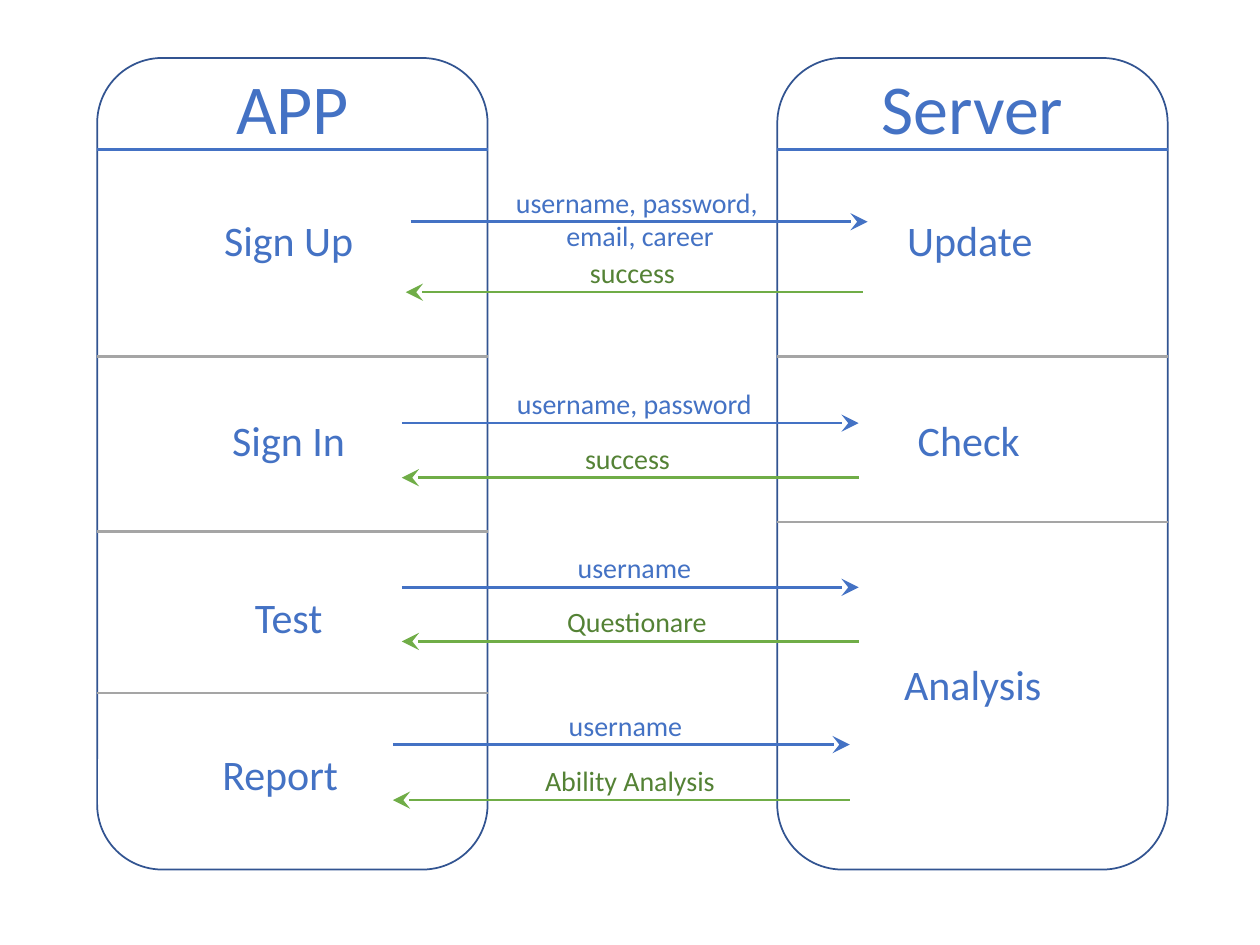
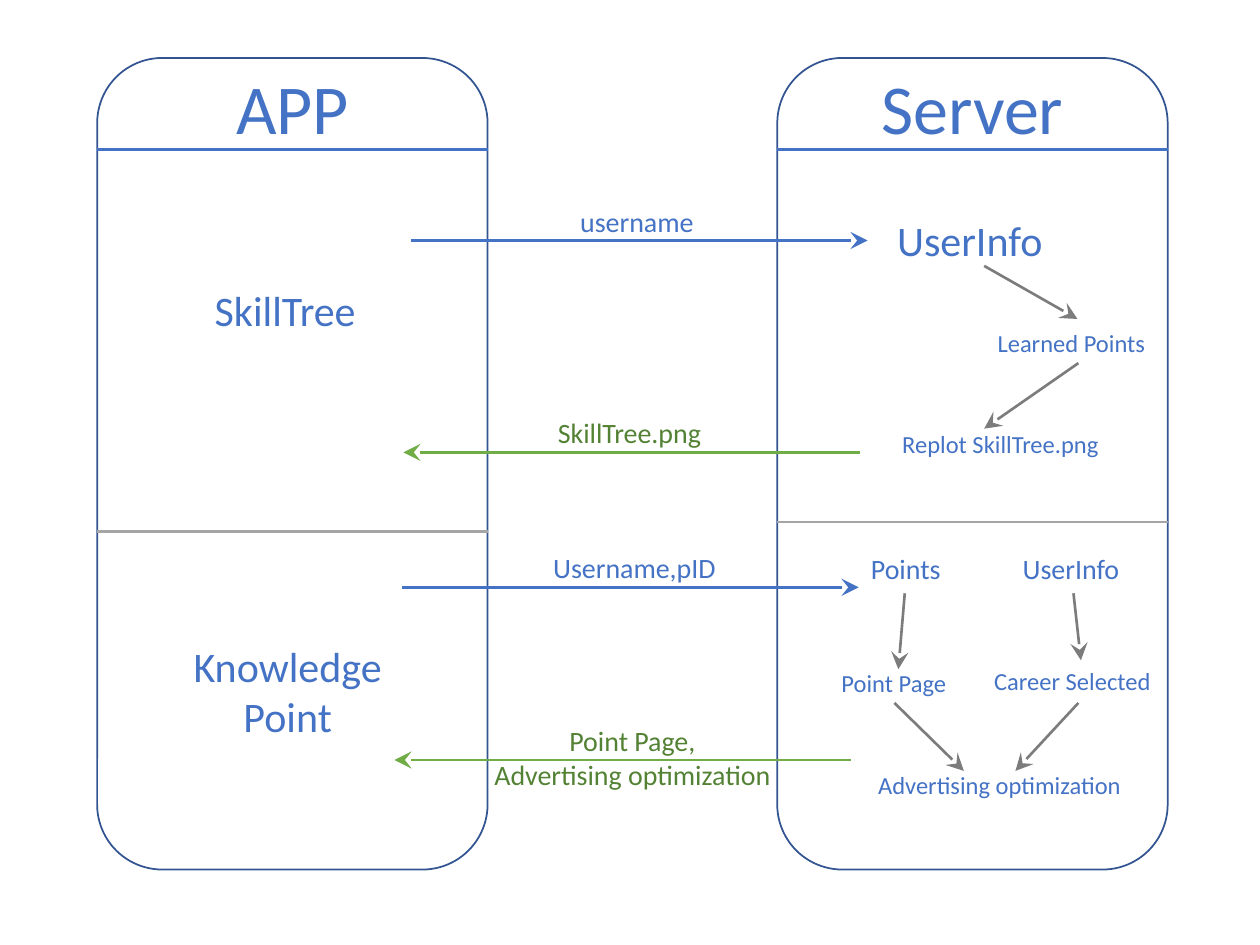
from pptx import Presentation
from pptx.dml.color import RGBColor
from pptx.enum.shapes import MSO_CONNECTOR, MSO_SHAPE
from pptx.enum.text import MSO_AUTO_SIZE, PP_ALIGN
from pptx.oxml.ns import qn
from pptx.util import Cm, Pt
from lxml.etree import SubElement

# Shared style; all lengths are in centimetres
FONT = "Calibri"
BLUE, OUTLINE = "4472C4", "325491"
GREEN, DARK_GREEN = "70AD47", "548235"
GREY, DARK_GREY = "A5A5A5", "7C7C7C"
APP_LEFT, SERVER_LEFT = 1.96, 15.67
PANEL_TOP, PANEL_WIDTH, PANEL_HEIGHT = 1.17, 7.87, 16.36
HEADER_BOTTOM = 3.02
MESSAGE_LENGTH, LABEL_RISE = 9.21, 0.86


def color(value):
    return RGBColor.from_string(value)


def write(shape, text, size=24, fill=BLUE, align=PP_ALIGN.CENTER):
    frame = shape.text_frame
    frame.word_wrap = False
    frame.auto_size = MSO_AUTO_SIZE.SHAPE_TO_FIT_TEXT
    frame.text = text
    for paragraph in frame.paragraphs:
        paragraph.alignment = align
        for run in paragraph.runs:
            run.font.name = FONT
            run.font.size = Pt(size)
            run.font.color.rgb = color(fill)


class Diagram:
    """Draws an APP / Server exchange on the current slide."""

    def __init__(self, presentation):
        self.presentation = presentation
        self.shapes = None

    def new_slide(self):
        slide = self.presentation.slides.add_slide(self.presentation.slide_layouts[6])
        self.shapes = slide.shapes
        self.panel("APP", APP_LEFT, 2.79)
        self.panel("Server", SERVER_LEFT, 4.22)

    def line(self, x1, y1, x2, y2, stroke, arrow=False, shapes=None):
        connector = (shapes or self.shapes).add_connector(
            MSO_CONNECTOR.STRAIGHT, Cm(x1), Cm(y1), Cm(x2), Cm(y2))
        connector.line.color.rgb = color(stroke)
        connector.line.width = Pt(1.5)
        if arrow:
            SubElement(connector.line._get_or_add_ln(), qn("a:tailEnd"),
                       type="stealth", w="lg", len="lg")
        SubElement(connector._element.spPr, qn("a:effectLst"))

    def text(self, text, center, top, width, size=24, fill=BLUE, shapes=None):
        lines = text.count("\n") + 1
        height = 0.25 + lines * size * 1.2 * 2.54 / 72
        box = (shapes or self.shapes).add_textbox(
            Cm(center - width / 2), Cm(top), Cm(width), Cm(height))
        write(box, text, size=size, fill=fill)

    def panel(self, title, left, title_width):
        shapes = self.shapes.add_group_shape().shapes
        frame = shapes.add_shape(MSO_SHAPE.ROUNDED_RECTANGLE, Cm(left), Cm(PANEL_TOP),
                                 Cm(PANEL_WIDTH), Cm(PANEL_HEIGHT))
        frame.shadow.inherit = False
        frame.fill.background()
        frame.line.color.rgb = color(OUTLINE)
        frame.line.width = Pt(1)
        self.line(left, HEADER_BOTTOM, left + PANEL_WIDTH, HEADER_BOTTOM, BLUE, shapes=shapes)
        self.text(title, left + PANEL_WIDTH / 2, PANEL_TOP, title_width, size=40, shapes=shapes)

    def dividers(self, left, heights):
        for y in heights:
            self.line(left, y, left + PANEL_WIDTH, y, GREY)

    def message(self, text, left, y, center, width, reply=False):
        ends = [left, left + MESSAGE_LENGTH]
        if reply:
            ends.reverse()
        self.line(ends[0], y, ends[1], y, GREEN if reply else BLUE, arrow=True)
        self.text(text, center, y - LABEL_RISE, width, size=16,
                  fill=DARK_GREEN if reply else BLUE)


presentation = Presentation()
presentation.slide_width, presentation.slide_height = Cm(25.4), Cm(19.05)
diagram = Diagram(presentation)

# Slide 1: accounts, test and report
diagram.new_slide()
for step in [
    ("Sign Up", 5.82, 4.19, 3.15),
    ("Sign In", 5.82, 8.23, 2.79),
    ("Test", 5.82, 11.79, 1.88),
    ("Report", 5.65, 14.96, 2.87),
    ("Update", 19.55, 4.19, 3.07),
    ("Check", 19.53, 8.23, 2.59),
    ("Analysis", 19.61, 13.16, 3.3),
]:
    diagram.text(*step)
for message in [
    ("username, password,\n email, career", 8.28, 4.47, 12.84, 5.46),
    ("success", 8.18, 5.89, 12.75, 2.24, True),
    ("username, password", 8.1, 8.53, 12.79, 5.31),
    ("success", 8.1, 9.63, 12.65, 2.24, True),
    ("username", 8.1, 11.84, 12.79, 2.82),
    ("Questionare", 8.1, 12.93, 12.84, 3.38, True),
    ("username", 7.92, 15.01, 12.61, 2.82),
    ("Ability Analysis", 7.92, 16.13, 12.7, 3.96, True),
]:
    diagram.message(*message)
diagram.dividers(APP_LEFT, [7.19, 10.72, 13.97])
diagram.dividers(SERVER_LEFT, [7.19, 10.52])

# Slide 2: skill tree and knowledge point
diagram.new_slide()
for step in [
    ("SkillTree", 5.75, 5.61, 3.38),
    ("Knowledge\nPoint", 5.8, 12.78, 4.34),
    ("UserInfo", 19.55, 4.19, 3.48),
    ("Learned Points", 21.6, 6.48, 3.53, 14),
    ("Replot SkillTree.png", 20.17, 8.53, 4.52, 14),
    ("Points", 18.26, 11, 1.93, 16),
    ("UserInfo", 21.59, 11, 2.49, 16),
    ("Point Page", 18.02, 13.34, 2.67, 14),
    ("Career Selected", 21.62, 13.31, 3.71, 14),
    ("Advertising optimization", 20.15, 15.39, 5.46, 14),
]:
    diagram.text(*step)
for message in [
    ("username", 8.28, 4.85, 12.84, 2.82),
    ("SkillTree.png", 8.13, 9.12, 12.69, 3.43, True),
    ("Username,pID", 8.1, 11.84, 12.79, 3.84),
    ("Point Page,\nAdvertising optimization", 7.95, 15.32, 12.75, 6.15, True),
]:
    diagram.message(*message)
diagram.dividers(APP_LEFT, [10.72])
diagram.dividers(SERVER_LEFT, [10.52])

# Flow inside the server
for flow in [
    (19.84, 5.36, 21.72, 6.43),
    (21.74, 7.32, 19.84, 8.64),
    (18.24, 11.96, 18.11, 13.49),
    (21.64, 11.96, 21.79, 13.31),
    (18.03, 14.17, 19.43, 15.54),
    (21.74, 14.17, 20.47, 15.54),
]:
    diagram.line(*flow, DARK_GREY, arrow=True)

presentation.save("out.pptx")
